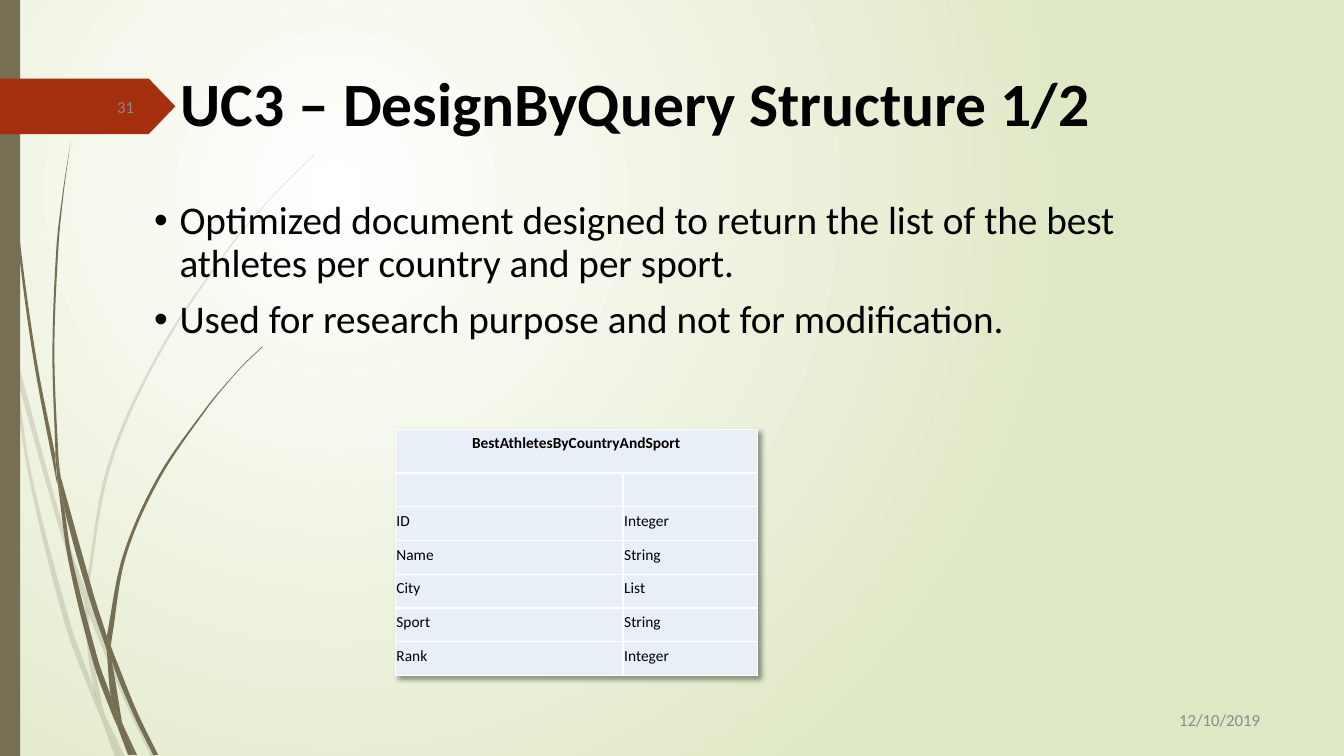
from math import dist
from lxml import etree
from pptx import Presentation
from pptx.dml.color import RGBColor as RGB
from pptx.enum.shapes import MSO_SHAPE as SHAPE
from pptx.enum.text import MSO_ANCHOR as ANCHOR, MSO_AUTO_SIZE as AUTO, PP_ALIGN as ALIGN
from pptx.oxml import parse_xml
from pptx.oxml.ns import nsdecls, qn
from pptx.util import Cm, Pt

COLORS = {"white": "FFFFFF", "sage": "DFE8C4", "stem": "766F54", "tag": "A53010",
          "text": "000000", "muted": "8B8B8B", "cell": "E9EFF7"}
FONT = "Calibri"
FINE = 10
HUNDREDTH_INCH = Cm(0.0254)

BACK_STEMS = [
    ([(11, 350), (9, 322), (0, 282)], [(0, 299), (10, 344)]),
    ([(17, 376), (58, 522), (84, 599)], [(85, 586), (62, 520), (14, 345)]),
    ([(88, 610), (123, 694), (150, 751)], [(155, 751), (127, 692), (92, 607), (88, 596)]),
    ([(105, 711), (119, 751)], [(124, 751)]),
    ([(11, 350), (28, 470), (65, 621), (92, 693), (101, 714)],
     [(99, 707), (93, 683), (70, 619), (31, 469), (17, 376)]),
    ([(84, 599), (87, 646), (93, 683), (96, 692), (105, 711)],
     [(103, 706), (91, 646), (88, 610), (88, 608)]),
    ([(88, 596), (88, 584), (110, 462), (160, 349), (229, 245), (268, 198), (290, 175), (312, 154)],
     [(312, 153), (289, 175), (268, 197), (228, 244), (158, 348), (107, 461), (85, 584), (85, 586)]),
    ([(101, 714), (114, 751)], [(119, 751)]),
    ([(84, 599), (88, 610)], [(88, 596), (85, 586)]),
    ([(93, 683), (99, 707), (101, 714), (119, 751)], [(105, 711), (96, 692)]),
]
FRONT_STEMS = [
    ([(3, 0), (4, 48), (7, 110), (17, 233), (33, 355), (56, 477), (57, 481)],
     [(55, 457), (55, 453), (36, 355), (19, 232), (8, 109), (5, 48), (4, 0)]),
    ([(60, 472), (64, 505), (88, 592), (106, 645)], [(106, 633), (106, 631), (93, 590), (60, 472)]),
    ([(110, 641), (111, 656), (132, 708), (152, 749)], [(157, 749), (136, 706), (113, 649)]),
    ([(57, 477), (68, 557), (93, 659), (111, 708), (117, 722)],
     [(116, 717), (110, 691), (98, 657), (72, 556), (64, 505)]),
    ([(60, 472), (58, 453), (54, 349), (58, 245), (63, 193), (70, 141)],
     [(70, 141), (62, 193), (56, 245), (52, 349), (55, 449)]),
    ([(122, 719), (133, 749)], [(136, 749)]),
    ([(55, 449), (55, 453), (57, 477)], [(64, 505), (60, 472)]),
    ([(110, 641), (111, 633), (125, 552), (158, 476), (205, 406), (231, 374), (245, 359), (261, 344)],
     [(260, 344), (245, 358), (231, 373), (204, 405), (156, 474), (122, 551), (106, 631)]),
    ([(117, 722), (127, 749)], [(131, 749)]),
    ([(106, 645), (110, 691), (116, 706), (122, 719)], [(121, 716), (111, 656), (109, 651)]),
    ([(106, 631), (106, 645)], [(111, 656), (110, 641)]),
    ([(110, 691), (116, 717), (117, 722), (130, 749)], [(133, 749), (122, 719), (116, 706)]),
]
FIELDS = [("", ""), ("ID", "Integer"), ("Name", "String"), ("City", "List"),
          ("Sport", "String"), ("Rank", "Integer")]
BULLETS = ["Optimized document designed to return the list of the best athletes per country and per sport.",
           "Used for research purpose and not for modification."]


def rgb(name):
    """Return the named colour."""
    return RGB.from_string(COLORS[name])


def write(p, text, size, color="text", bold=False, align=ALIGN.LEFT):
    """Write formatted text into a paragraph."""
    p.alignment = align
    r = p.add_run()
    r.text = text
    r.font.name, r.font.size, r.font.bold = FONT, Pt(size), bold
    r.font.color.rgb = rgb(color)


def place(sp, box):
    """Move a shape to a box."""
    sp.left, sp.top, sp.width, sp.height = box


def paint(sp, color, alpha=None):
    """Fill a shape with one flat colour."""
    sp.shadow.inherit = False
    sp.line.fill.background()
    sp.fill.solid()
    sp.fill.fore_color.rgb = rgb(color)
    if alpha:
        clr = sp.fill._xPr.find(qn("a:solidFill"))[0]
        etree.SubElement(clr, qn("a:alpha")).set("val", str(alpha * 1000))


def edge_controls(points):
    """Return the two Bezier control points of each segment of a smooth edge."""
    padded = [points[0], *points, points[-1]]
    slopes = [[(v - u) / (dist(a, b) + dist(b, c)) for u, v in zip(a, c)]
              for a, b, c in zip(padded, padded[1:], padded[2:])] if len(points) > 1 else []
    return [([u + m * dist(a, b) / 3 for u, m in zip(a, ma)],
             [v - m * dist(a, b) / 3 for v, m in zip(b, mb)])
            for a, b, ma, mb in zip(points, points[1:], slopes, slopes[1:])]


def add_stem(shapes, out, back):
    """Draw one stem piece bounded by two smooth edges."""
    out, back = ([(FINE * x, FINE * y) for x, y in edge] for edge in (out, back))
    points = out + back
    builder = shapes.build_freeform(*points[0], scale=HUNDREDTH_INCH / FINE)
    builder.add_line_segments(points[1:], close=True)
    sp = builder.convert_to_shape()
    left, top = map(min, zip(*points))
    segments = list(sp._element.iter(qn("a:lnTo")))
    for segment, controls in zip(segments, edge_controls(out) + [None] + edge_controls(back)):
        if controls:
            segment.tag = qn("a:cubicBezTo")
            for i, (x, y) in enumerate(controls):
                segment.insert(i, parse_xml(
                    f'<a:pt {nsdecls("a")} x="{round(x - left)}" y="{round(y - top)}"/>'))
    return sp


def add_stems(s, stems, alpha=None):
    """Draw one group of grass stems."""
    group = s.shapes.add_group_shape()
    for out, back in stems:
        paint(add_stem(group.shapes, out, back), "stem", alpha)


def add_backdrop(s, width, height):
    """Set the radial background and draw the left-hand decoration."""
    fill = s.background.fill
    fill.gradient()
    for stop, color in zip(fill.gradient_stops, ("white", "sage")):
        stop.color.rgb = rgb(color)
    lin = s.element.find(".//" + qn("a:lin"))
    lin.getparent().replace(lin, parse_xml(
        f'<a:path {nsdecls("a")} path="circle">'
        '<a:fillToRect l="50000" t="50000" r="100000" b="100000"/></a:path>'))
    add_stems(s, BACK_STEMS, alpha=20)
    add_stems(s, FRONT_STEMS)
    paint(s.shapes.add_shape(SHAPE.RECTANGLE, 0, 0, Cm(0.51), height), "stem")
    tag = s.shapes.add_shape(SHAPE.PENTAGON, 0, Cm(1.98), Cm(4.42), Cm(1.4))
    tag.adjustments[0] = 0.48
    paint(tag, "tag")


def add_title(s, box):
    """Fill the title placeholder."""
    sp = s.shapes.title
    place(sp, box)
    tf = sp.text_frame
    tf.auto_size, tf.vertical_anchor = AUTO.NONE, ANCHOR.MIDDLE
    tf.paragraphs[0].line_spacing = 0.9
    write(tf.paragraphs[0], "UC3 – DesignByQuery Structure 1/2", 44, bold=True)


def add_bullets(s, box):
    """Fill the body placeholder with the bullet list."""
    sp = s.placeholders[1]
    place(sp, box)
    tf = sp.text_frame
    tf.auto_size = AUTO.NONE
    for i, text in enumerate(BULLETS):
        p = tf.add_paragraph() if i else tf.paragraphs[0]
        p.line_spacing, p.space_before = 0.9, Pt(10)
        write(p, text, 28)
        pPr = p._p.get_or_add_pPr()
        pPr.set("marL", str(Cm(0.64)))
        pPr.set("indent", str(-Cm(0.64)))
        for xml in (f'<a:buClr {nsdecls("a")}><a:srgbClr val="{COLORS["text"]}"/></a:buClr>',
                    f'<a:buFont {nsdecls("a")} typeface="Arial"/>',
                    f'<a:buChar {nsdecls("a")} char="•"/>'):
            pPr.append(parse_xml(xml))


def format_cell(cell):
    """Set the margins, fill and white borders of a cell."""
    cell.margin_left = cell.margin_right = Cm(0.03)
    cell.margin_top = cell.margin_bottom = Cm(0.12)
    cell.fill.solid()
    cell.fill.fore_color.rgb = rgb("cell")
    tcPr = cell._tc.get_or_add_tcPr()
    for i, side in enumerate("LRTB"):
        tcPr.insert(i, parse_xml(
            f'<a:ln{side} {nsdecls("a")} w="{Pt(0.96)}"><a:solidFill>'
            f'<a:srgbClr val="{COLORS["white"]}"/></a:solidFill></a:ln{side}>'))


def add_structure_table(s, left, top):
    """Draw the table of document fields."""
    widths, heights = (5.74, 3.39), [1.1] + [0.85] * len(FIELDS)
    table = s.shapes.add_table(len(heights), 2, left, top, Cm(sum(widths)), Cm(sum(heights))).table
    table.first_row = table.horz_banding = False
    table._tbl.tblPr.insert(0, parse_xml(
        f'<a:effectLst {nsdecls("a")}><a:outerShdw blurRad="{Pt(4)}" dist="{Pt(3)}" dir="2700000" '
        f'algn="tl" rotWithShape="0"><a:srgbClr val="{COLORS["text"]}"><a:alpha val="40000"/>'
        '</a:srgbClr></a:outerShdw></a:effectLst>'))
    for col, width in zip(table.columns, widths):
        col.width = Cm(width)
    for row, height in zip(table.rows, heights):
        row.height = Cm(height)
    for cell in table.iter_cells():
        format_cell(cell)
    head = table.cell(0, 0)
    head.merge(table.cell(0, 1))
    write(head.text_frame.paragraphs[0], "BestAthletesByCountryAndSport", 11, bold=True, align=ALIGN.CENTER)
    for i, field in enumerate(FIELDS, 1):
        for j, text in enumerate(field):
            p = table.cell(i, j).text_frame.paragraphs[0]
            if text:
                write(p, text, 11)
            else:
                etree.SubElement(p._p, qn("a:endParaRPr")).set("sz", "1100")


def add_footer_text(s, text, box):
    """Add a small right-aligned grey label."""
    tf = s.shapes.add_textbox(*box).text_frame
    tf.word_wrap, tf.vertical_anchor = True, ANCHOR.MIDDLE
    write(tf.paragraphs[0], text, 12, color="muted", align=ALIGN.RIGHT)


def main():
    """Build and save the slide."""
    prs = Presentation()
    prs.slide_width, prs.slide_height = Cm(33.87), Cm(19.05)
    s = prs.slides.add_slide(prs.slide_layouts[1])
    title, body = s.shapes.title, s.placeholders[1]
    add_backdrop(s, prs.slide_width, prs.slide_height)
    for sp in (title, body):
        s.shapes._spTree.append(sp._element)
    add_title(s, (Cm(4.3), Cm(1.3), Cm(29.21), Cm(2.77)))
    add_bullets(s, (Cm(3.63), Cm(4.94), Cm(27.08), Cm(7.77)))
    add_structure_table(s, Cm(9.96), Cm(10.82))
    add_footer_text(s, "12/10/2019", (Cm(28.83), Cm(17.63), Cm(3.18), Cm(1.04)))
    add_footer_text(s, "31", (Cm(1.47), Cm(2.18), Cm(2.16), Cm(1.02)))
    prs.save("out.pptx")


if __name__ == "__main__":
    main()
